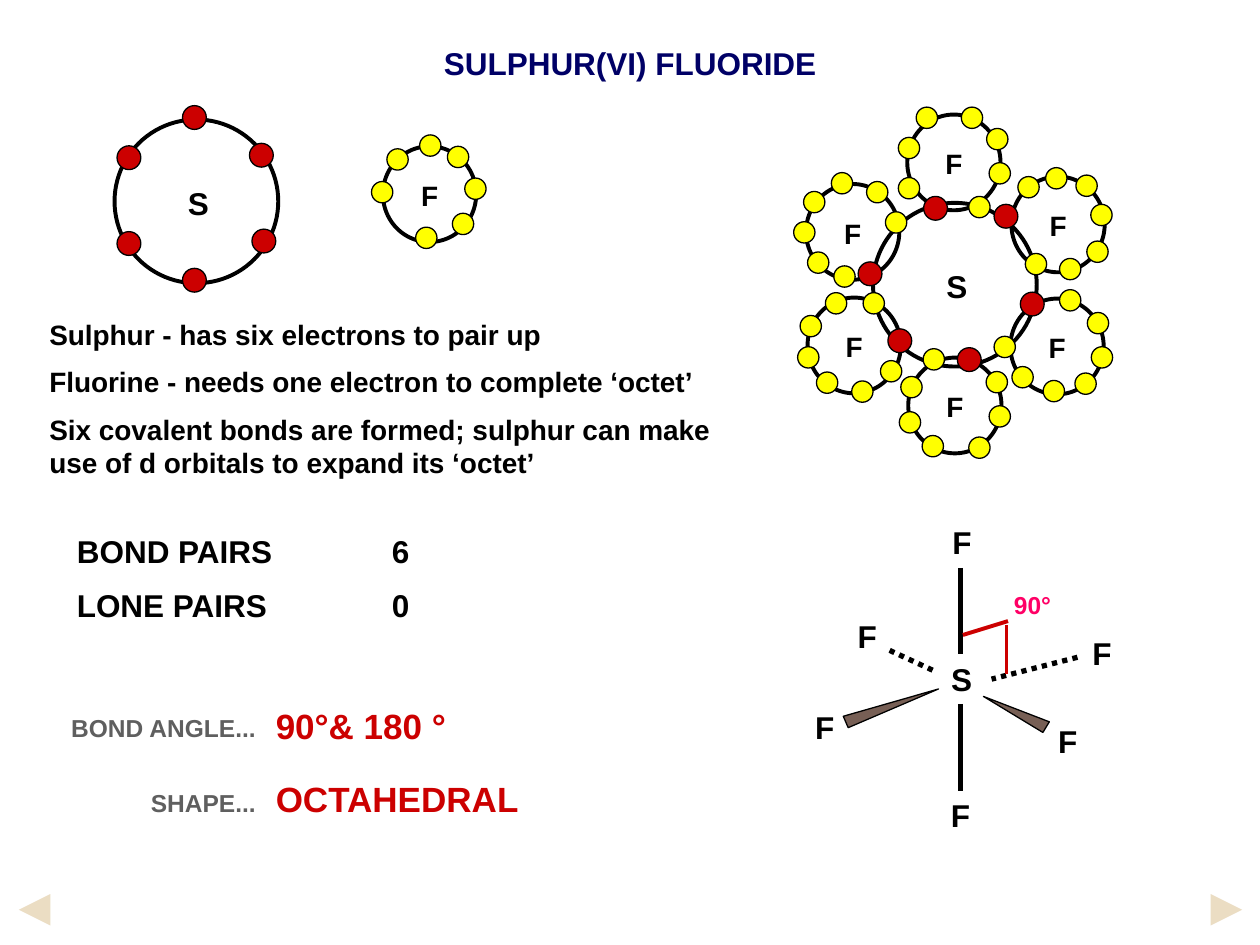
import lxml.etree
import pptx
import pptx.dml.color
import pptx.enum.dml
import pptx.enum.shapes
import pptx.enum.text
import pptx.oxml.ns
import pptx.util

Cm = pptx.util.Cm
Pt = pptx.util.Pt
SHAPES = pptx.enum.shapes.MSO_SHAPE
ALIGN = pptx.enum.text.PP_ALIGN
qn = pptx.oxml.ns.qn

COLORS = {
    "title": "000066",
    "ink": "000000",
    "sulphur": "CC0000",
    "fluorine": "FFFF00",
    "caption": "5F5F5F",
    "result": "CC0000",
    "angle": "FF0066",
    "wedge": "775F55",
    "navigation": "EBDDC3",
}

KINDS = {
    "S": {"ring": (3.3, 3.3), "dot": 0.48, "color": "sulphur",
          "label": (1.22, 1.17, 0.94, 1.02), "size": 18},
    "F": {"ring": (1.88, 1.93), "dot": 0.43, "color": "fluorine",
          "label": (0.51, 0.52, 0.86, 0.94), "size": 16},
}

SULPHUR_ATOM = [("S", 0, 0, [
    (1.37, -0.28), (0.05, 0.53), (2.72, 0.48), (1.37, 3), (0.05, 2.26), (2.77, 2.21)])]

FLUORINE_ATOM = [("F", 0, 0, [
    (0.74, -0.23), (-0.23, 0.71), (1.65, 0.64), (0.08, 0.05), (1.3, 0), (1.4, 1.35),
    (0.66, 1.63)])]

MOLECULE = [
    ("F", 2.29, 0.15, [(1.65, 0.97), (-0.18, 0.46), (0.18, -0.15), (1.6, 0.28),
                       (-0.18, 1.27), (1.24, 1.65), (1.09, -0.15)]),
    ("F", 4.39, 1.4, [(0.97, 1.65), (1.6, 0.56), (0.13, 0), (1.3, -0.03),
                      (0.28, 1.55), (0.69, -0.18), (1.52, 1.3)]),
    ("F", 4.37, 3.86, [(0.99, -0.18), (0.03, 1.37), (-0.33, 0.76), (1.63, 0.97),
                       (1.3, 1.5), (0.66, 1.65), (1.55, 0.28)]),
    ("F", 2.31, 5.05, [(1.63, 0.97), (-0.15, 0.38), (0.3, -0.18), (1.57, 0.28),
                       (-0.18, 1.09), (0.28, 1.57), (1.22, 1.6)]),
    ("F", 0.28, 3.84, [(1.47, 1.27), (-0.2, 0.99), (-0.15, 0.36), (1.12, -0.1),
                       (0.18, 1.5), (0.89, 1.68), (0.36, -0.1)]),
    ("F", 0.25, 1.55, [(1.22, -0.05), (-0.25, 0.76), (-0.05, 0.15), (1.6, 0.56),
                       (0.03, 1.37), (0.56, 1.65), (0.51, -0.23)]),
    ("S", 1.6, 1.93, [(1.02, -0.13), (2.44, 0.03), (2.97, 1.8), (-0.3, 1.19),
                      (1.7, 2.92), (0.3, 2.54)]),
]


def rgb(name):
    return pptx.dml.color.RGBColor.from_string(COLORS[name])


def write(shape, text, size=18, color="ink", align=ALIGN.LEFT, before=0, line=None, wrap=False):
    frame = shape.text_frame
    frame.auto_size = pptx.enum.text.MSO_AUTO_SIZE.NONE
    frame.word_wrap = wrap
    frame.vertical_anchor = pptx.enum.text.MSO_ANCHOR.MIDDLE
    frame.text = text
    for index, paragraph in enumerate(frame.paragraphs):
        paragraph.alignment = align
        paragraph.space_before = Pt(before if index else 0)
        if line:
            paragraph.line_spacing = Pt(line)
        for run in paragraph.runs:
            run.font.name = "Arial"
            run.font.size = Pt(size)
            run.font.bold = True
            run.font.color.rgb = rgb(color)


def add_text(slide, box, text, **form):
    write(slide.shapes.add_textbox(*map(Cm, box)), text, **form)


def fill_placeholder(placeholder, box, text, **form):
    placeholder.left, placeholder.top, placeholder.width, placeholder.height = map(Cm, box)
    write(placeholder, text, **form)
    for paragraph in placeholder.text_frame.paragraphs:
        properties = paragraph._p.get_or_add_pPr()
        properties.set("marL", "0")
        properties.set("indent", "0")
        lxml.etree.SubElement(properties, qn("a:buNone"))


def add_figure(slide, kind, box, fill=None, width=0.75):
    shape = slide.shapes.add_shape(kind, *map(Cm, box))
    shape.shadow.inherit = False
    if fill:
        shape.fill.solid()
        shape.fill.fore_color.rgb = rgb(fill)
    else:
        shape.fill.background()
    shape.line.color.rgb = rgb("ink")
    shape.line.width = Pt(width)
    return shape


def add_line(slide, points, color="ink", width=3, dotted=False, arrow=False):
    connector = slide.shapes.add_connector(
        pptx.enum.shapes.MSO_CONNECTOR.STRAIGHT, *map(Cm, points))
    connector.line.color.rgb = rgb(color)
    connector.line.width = Pt(width)
    if dotted:
        connector.line.dash_style = pptx.enum.dml.MSO_LINE.ROUND_DOT
    if arrow:
        lxml.etree.SubElement(connector.line._get_or_add_ln(), qn("a:tailEnd"), type="triangle")
    lxml.etree.SubElement(connector._element.spPr, qn("a:effectLst"))


def draw_atoms(slide, left, top, atoms):
    for symbol, x, y, _ in atoms:
        kind = KINDS[symbol]
        add_figure(slide, SHAPES.OVAL, (left + x, top + y, *kind["ring"]), width=2.25)
        label_x, label_y, width, height = kind["label"]
        add_text(slide, (left + x + label_x, top + y + label_y, width, height), symbol,
                 size=kind["size"], align=ALIGN.CENTER)
    for symbol, x, y, electrons in atoms:
        dot = KINDS[symbol]["dot"]
        for dx, dy in electrons:
            add_figure(slide, SHAPES.OVAL, (left + x + dx, top + y + dy, dot, dot),
                       fill=KINDS[symbol]["color"])


def draw_octahedron(slide, left, top):
    for box, rotation, flipped in [((0.79, 3.63, 1.98, 0.25), 336.8, False),
                                   ((3.61, 3.76, 1.4, 0.25), 31.2, True)]:
        x, y, width, height = box
        wedge = add_figure(slide, SHAPES.RIGHT_TRIANGLE, (left + x, top + y, width, height),
                           fill="wedge")
        wedge.rotation = rotation
        if flipped:
            wedge._element.spPr.xfrm.set("flipH", "1")

    angle = {"color": "result", "width": 2.25}
    for (x1, y1, x2, y2), form in [
        ((5.54, 2.84, 3.81, 3.28), {"dotted": True}),
        ((2.62, 3.1, 1.73, 2.69), {"dotted": True}),
        ((3.18, 1.04, 3.18, 2.77), {}),
        ((3.18, 3.78, 3.18, 5.54), {}),
        ((3.23, 2.39, 4.14, 2.11), angle),
        ((4.11, 3.18, 4.11, 2.18), angle),
    ]:
        add_line(slide, (left + x1, top + y1, left + x2, top + y2), **form)

    for symbol, x, y in [("F", 2.77, 0), ("F", 5.59, 2.24), ("F", 4.9, 4.01), ("F", 2.74, 5.51),
                         ("F", 0, 3.73), ("F", 0.86, 1.9), ("S", 2.76, 2.77)]:
        add_text(slide, (left + x, top + y, 0.89, 1.02), symbol, align=ALIGN.CENTER)
    add_text(slide, (left + 4.01, top + 1.37, 1.24, 0.84), "90°", size=14, color="angle")


def draw_summary(slide, left, top):
    add_text(slide, (left + 0.13, top, 8.48, 2.16), "BOND PAIRS\t\t6\nLONE PAIRS\t\t0", before=9)
    add_text(slide, (left, top + 2.97, 4.24, 3.1), "BOND ANGLE...\nSHAPE...",
             size=14, color="caption", align=ALIGN.RIGHT, before=7, line=36)
    add_text(slide, (left + 4.14, top + 3.17, 5.46, 2.97), "90°& 180 °\nOCTAHEDRAL",
             size=20, color="result", before=10, line=32)


def draw_navigation(slide, left, top, width):
    for start, end in [(0.53, 0), (width - 0.53, width)]:
        add_line(slide, (left + start, top, left + end, top),
                 color="navigation", width=6, arrow=True)


def main():
    presentation = pptx.Presentation()
    presentation.slide_width, presentation.slide_height = Cm(25.4), Cm(19.05)
    slide = presentation.slides.add_slide(presentation.slide_layouts[1])
    fill_placeholder(slide.shapes.title, (8.69, 0.76, 8.03, 1.02), "SULPHUR(VI) FLUORIDE",
                     color="title", align=ALIGN.CENTER)
    fill_placeholder(
        slide.placeholders[1], (0.74, 6.2, 13.87, 3.66),
        "Sulphur - has six electrons to pair up\n"
        "Fluorine - needs one electron to complete ‘octet’\n"
        "Six covalent bonds are formed; sulphur can make use of d orbitals to expand its ‘octet’",
        size=16, before=8, wrap=True)
    draw_atoms(slide, 2.31, 2.41, SULPHUR_ATOM)
    draw_atoms(slide, 7.72, 2.95, FLUORINE_ATOM)
    draw_atoms(slide, 16, 2.16, MOLECULE)
    draw_summary(slide, 1.17, 10.57)
    draw_octahedron(slide, 16.18, 10.41)
    draw_navigation(slide, 0.38, 18.34, 24.66)
    presentation.save("out.pptx")


if __name__ == "__main__":
    main()
